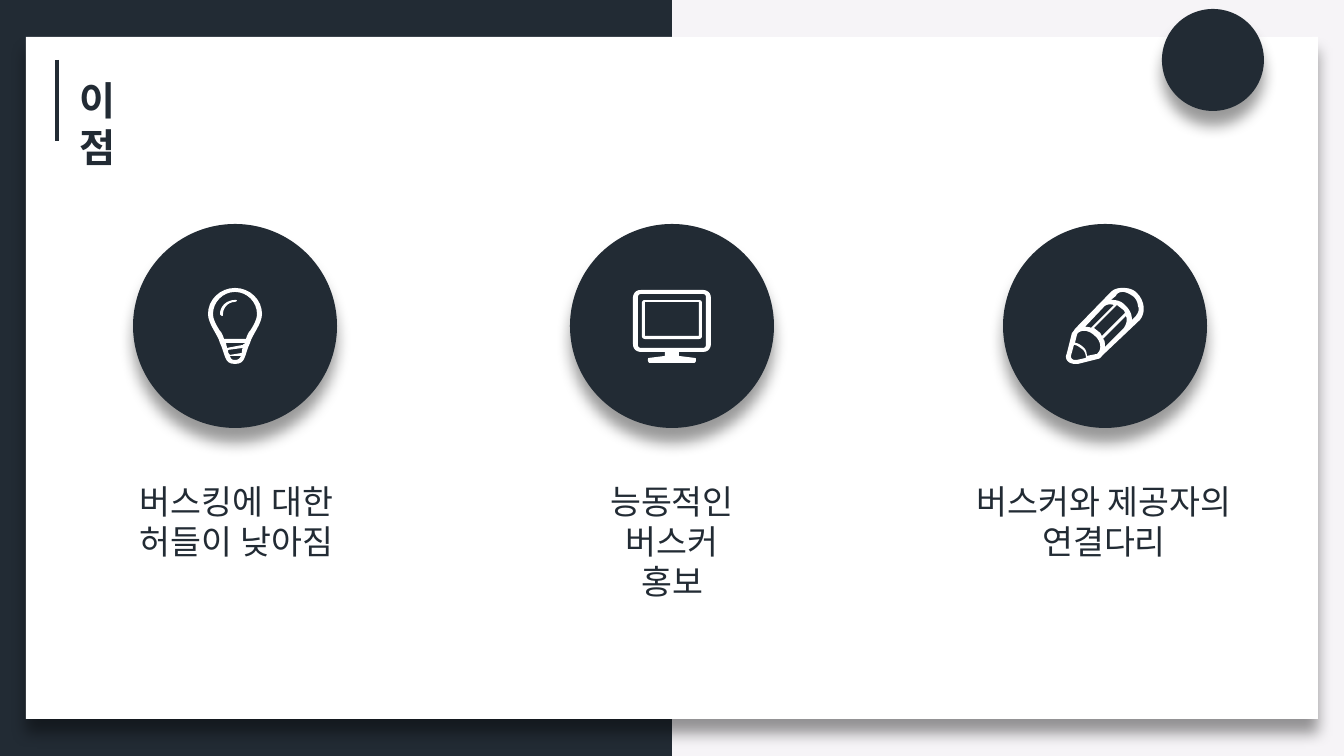
from dataclasses import dataclass

from lxml.etree import SubElement
from pptx import Presentation
from pptx.dml.color import RGBColor
from pptx.enum.shapes import MSO_CONNECTOR, MSO_SHAPE
from pptx.enum.text import MSO_ANCHOR, MSO_AUTO_SIZE, PP_ALIGN
from pptx.oxml.ns import qn
from pptx.util import Emu, Pt

EMU_PER_PX = 9144000 / 1344
COLORS = {"navy": "222B34", "white": "FFFFFF", "mist": "F6F4F7", "black": "000000"}
FONT = "Noto Sans CJK KR"
CURVE_STEPS = 8
CIRCLE_TOP, CIRCLE_SIZE = 224, 204
CAPTION_TOP, CAPTION_HEIGHT = 474, 96

Outline = tuple[str, ...]  # one string of M, L and C commands per contour


@dataclass(frozen=True)
class Benefit:
    circle_left: int
    caption_left: int
    caption_width: int
    caption: tuple[str, ...]
    icon: tuple[Outline, ...]


def px(length: float) -> Emu:
    return Emu(round(length * EMU_PER_PX))


def rgb(name: str) -> RGBColor:
    return RGBColor.from_string(COLORS[name])


def rounded_rect(left: int, top: int, right: int, bottom: int, radius: int) -> str:
    x1, x2, y1, y2 = left + radius, right - radius, top + radius, bottom - radius
    return (f"M {x1} {top} L {x2} {top} C {x2} {top} {right} {top} {right} {y1} "
            f"L {right} {y2} C {right} {y2} {right} {bottom} {x2} {bottom} "
            f"L {x1} {bottom} C {x1} {bottom} {left} {bottom} {left} {y2} "
            f"L {left} {y1} C {left} {y1} {left} {top} {x1} {top}")


BULB_BODY = (
    "M 235 288 C 220 288 208 300 208 314 C 208 324 218 335 220 343 "
    "C 226 356 224 364 235 364 C 246 364 244 356 250 343 "
    "C 252 335 262 324 262 314 C 262 300 250 288 235 288",
    "M 246 339 L 224 339 C 223 336 222 333 220 331 C 216 325 213 319 213 314 "
    "C 213 302 223 292 235 292 C 247 292 257 302 257 314 "
    "C 257 319 254 325 250 331 C 248 333 247 336 246 339",
    "M 235 360 C 233 360 231 360 230 356 L 241 356 C 239 360 237 360 235 360",
    "M 227 348 C 227 347 226 344 226 343 L 245 343 C 245 344 243 344 243 345",
    "M 242 353 L 230 355 C 228 353 228 352 228 350 L 243 348 "
    "C 243 348 242 349 242 351",
)
BULB_GLINT = (
    "M 235 300 C 227 300 220 306 220 314 C 220 315 222 316 222 316 "
    "C 223 316 223 315 223 314 C 223 308 228 302 235 302 "
    "C 235 302 237 301 237 301 C 237 300 236 300 235 300",
)
MONITOR_SCREEN = (rounded_rect(642, 300, 702, 339, 3), rounded_rect(645, 302, 699, 336, 0))
MONITOR_BODY = (
    rounded_rect(633, 290, 711, 352, 8),
    rounded_rect(638, 294, 706, 348, 3),
    "M 665 352 L 665 356 L 649 358 C 648 358 648 359 648 360 "
    "C 648 362 649 363 650 363 L 694 363 C 695 363 696 362 696 360 "
    "C 696 359 696 358 695 358 L 679 356 L 679 352",
)
PENCIL = (
    "M 1137 293 C 1133 289 1128 288 1123 288 C 1118 288 1114 289 1111 292 "
    "L 1075 329 C 1074 331 1073 332 1072 333 L 1067 353 "
    "C 1067 354 1066 355 1066 357 C 1066 361 1070 364 1075 364 L 1078 364 "
    "L 1098 359 C 1099 359 1101 358 1102 356 L 1140 320 "
    "C 1146 313 1145 301 1137 293",
    "M 1136 316 L 1132 320 C 1132 313 1129 309 1125 305 "
    "C 1121 301 1117 300 1111 300 L 1116 296 C 1117 293 1120 292 1123 292 "
    "C 1126 292 1130 294 1134 297 C 1137 300 1138 304 1138 306 "
    "C 1140 310 1138 313 1136 316",
    "M 1087 356 C 1087 353 1086 349 1083 347 C 1081 345 1078 343 1075 343 "
    "L 1077 335 L 1078 333 C 1083 329 1090 331 1095 336 "
    "C 1101 341 1102 349 1098 353 L 1097 354",
    "M 1077 360 L 1075 360 C 1073 360 1071 359 1071 356 L 1074 345 "
    "C 1077 345 1079 347 1082 349 C 1085 351 1086 355 1086 358",
    "M 1091 328 C 1090 327 1087 327 1085 327 L 1103 308 "
    "C 1106 304 1110 304 1114 305",
    "M 1102 336 C 1101 335 1101 333 1099 332 C 1098 331 1095 329 1094 328 "
    "L 1117 305 C 1118 306 1121 308 1122 309 C 1124 310 1125 312 1125 313",
    "M 1105 347 C 1105 343 1105 340 1103 339 L 1126 316 "
    "C 1128 320 1126 325 1124 328",
)
BENEFITS = (
    Benefit(133, 125, 223, ("버스킹에 대한", "허들이 낮아짐"), (BULB_BODY, BULB_GLINT)),
    Benefit(570, 579, 186, ("능동적인", "버스커 홍보"), (MONITOR_SCREEN, MONITOR_BODY)),
    Benefit(1003, 940, 328, ("버스커와 제공자의", "연결다리"), (PENCIL,)),
)


def contour_points(contour: str) -> list[tuple[Emu, Emu]]:
    """Turn M, L and C commands into points, sampling each curve."""
    points = []
    for command in contour.replace("L", "|L").replace("C", "|C").split("|"):
        kind, *numbers = command.split()
        values = [int(number) for number in numbers]
        given = list(zip(values[::2], values[1::2]))
        if kind != "C":
            points += given
            continue
        controls = [points[-1], *given]
        for step in range(1, CURVE_STEPS + 1):
            t = step / CURVE_STEPS
            weights = ((1 - t) ** 3, 3 * t * (1 - t) ** 2, 3 * t * t * (1 - t), t ** 3)
            points.append(tuple(sum(w * p[axis] for w, p in zip(weights, controls))
                                for axis in (0, 1)))
    return [(px(x), px(y)) for x, y in points]


def paint(shape, color: str) -> None:
    shape.shadow.inherit = False
    shape.fill.solid()
    shape.fill.fore_color.rgb = rgb(color)
    shape.line.fill.background()


def add_panel(slide, kind, left: int, top: int, width: int, height: int,
              color: str, shadow: bool = True):
    panel = slide.shapes.add_shape(kind, px(left), px(top), px(width), px(height))
    paint(panel, color)
    if shadow:
        effects = panel.element.spPr.find(qn("a:effectLst"))
        outer = SubElement(effects, qn("a:outerShdw"), blurRad=str(Pt(8)), dist=str(Pt(8)),
                           dir="5400000", algn="t", rotWithShape="0")
        tint = SubElement(outer, qn("a:srgbClr"), val=COLORS["black"])
        SubElement(tint, qn("a:alpha"), val="40000")
    return panel


def add_icon_part(slide, outline: Outline) -> None:
    first, *others = [contour_points(contour) for contour in outline]
    builder = slide.shapes.build_freeform(*first[0], scale=1.0)
    builder.add_line_segments(first[1:], close=True)
    for points in others:
        builder.move_to(*points[0])
        builder.add_line_segments(points[1:], close=True)
    paint(builder.convert_to_shape(), "white")


def write(frame, lines: tuple[str, ...], size: int, align, bold: bool = False) -> None:
    frame.word_wrap = True
    frame.auto_size = MSO_AUTO_SIZE.NONE
    frame.vertical_anchor = MSO_ANCHOR.TOP
    for index, line in enumerate(lines):
        paragraph = frame.add_paragraph() if index else frame.paragraphs[0]
        paragraph.text = line
        paragraph.alignment = align
        font = paragraph.font
        font.name, font.size, font.bold = FONT, Pt(size), bold
        font.color.rgb = rgb("navy")


def add_benefit(slide, benefit: Benefit) -> None:
    add_panel(slide, MSO_SHAPE.OVAL, benefit.circle_left, CIRCLE_TOP, CIRCLE_SIZE, CIRCLE_SIZE, "navy")
    for outline in benefit.icon:
        add_icon_part(slide, outline)
    caption = slide.shapes.add_textbox(px(benefit.caption_left), px(CAPTION_TOP),
                                       px(benefit.caption_width), px(CAPTION_HEIGHT))
    write(caption.text_frame, benefit.caption, 18, PP_ALIGN.CENTER)


def main() -> None:
    deck = Presentation()
    deck.slide_width, deck.slide_height = px(1344), px(756)
    slide = deck.slides.add_slide(deck.slide_layouts[5])
    slide.background.fill.solid()
    slide.background.fill.fore_color.rgb = rgb("mist")

    add_panel(slide, MSO_SHAPE.RECTANGLE, 0, 0, 672, 756, "navy", shadow=False)
    card = add_panel(slide, MSO_SHAPE.RECTANGLE, 26, 37, 1292, 682, "white")
    title = slide.shapes.title
    title.left, title.top, title.width, title.height = px(66), px(70), px(98), px(60)
    write(title.text_frame, ("이점",), 21, PP_ALIGN.LEFT, bold=True)
    card.element.addnext(title.element)

    accent = slide.shapes.add_connector(MSO_CONNECTOR.STRAIGHT, px(57), px(60), px(57), px(141))
    accent.line.color.rgb = rgb("navy")
    accent.line.width = Pt(2.25)
    SubElement(accent.element.spPr, qn("a:effectLst"))
    add_panel(slide, MSO_SHAPE.OVAL, 1162, 9, 102, 102, "navy")

    for benefit in BENEFITS:
        add_benefit(slide, benefit)
    deck.save("out.pptx")


if __name__ == "__main__":
    main()
